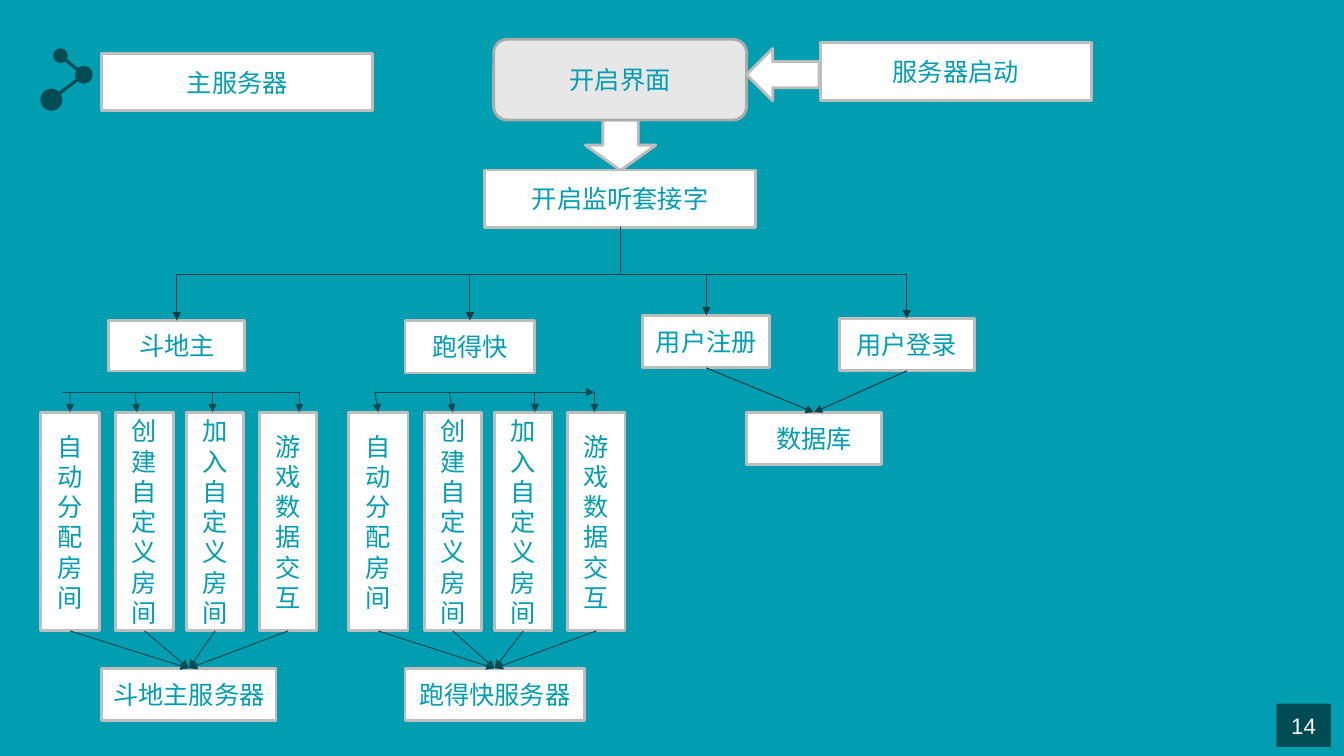
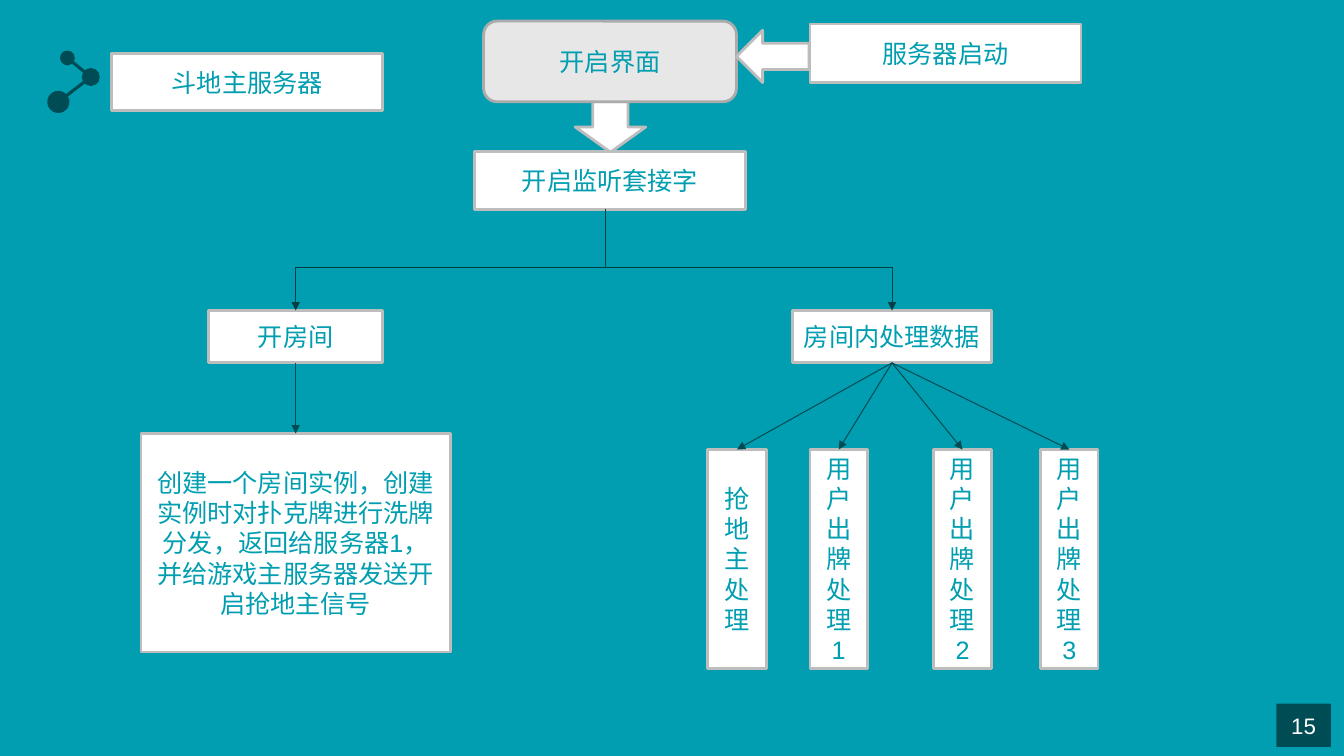
from dataclasses import dataclass
from typing import NamedTuple, Optional

from lxml.etree import SubElement
from pptx import Presentation
from pptx.dml.color import RGBColor
from pptx.enum.shapes import MSO_CONNECTOR, MSO_SHAPE
from pptx.enum.text import MSO_ANCHOR, MSO_AUTO_SIZE, PP_ALIGN
from pptx.oxml.ns import qn
from pptx.shapes.autoshape import Shape
from pptx.shapes.connector import Connector
from pptx.slide import Slide
from pptx.util import Pt


# Theme: colours, type and line sizes
@dataclass(frozen=True)
class Theme:
    teal: str = "009EB0"
    white: str = "FFFFFF"
    grey: str = "E7E7E7"
    edge: str = "BDBDBD"
    rim: str = "ABABAB"
    dark: str = "004C54"
    ink: str = "003F44"
    font: str = "Arial"
    text: float = 18
    page: float = 16
    frame: float = 2
    thin: float = 0.75


THEME = Theme()
TOP, BOTTOM = 0, 2
ROW = 37.4      # height of a one-line box
TALL = 156.2    # height of a column box
WIDE = 193.7    # width of a heading box


class Box(NamedTuple):
    text: str
    x: float
    y: float
    w: float
    h: float = ROW


class Point(NamedTuple):
    x: float
    y: float


class Joint(NamedTuple):
    shape: Shape
    side: int


class Drop(NamedTuple):
    start: float
    end: Optional[float] = None    # None joins the middle of the box top


End = Point | Joint


# Drawing tools
def paint(shape: Shape, fill: str, edge: Optional[str] = None) -> None:
    shape.fill.solid()
    shape.fill.fore_color.rgb = RGBColor.from_string(fill)
    if edge is None:
        shape.line.fill.background()
    else:
        shape.line.color.rgb = RGBColor.from_string(edge)
        shape.line.width = Pt(THEME.frame)


def write(shape: Shape, text: str, size: float = THEME.text,
          tint: str = THEME.teal, wrap: bool = True) -> None:
    frame = shape.text_frame
    frame.word_wrap = wrap
    frame.auto_size = MSO_AUTO_SIZE.NONE
    frame.vertical_anchor = MSO_ANCHOR.MIDDLE
    para = frame.paragraphs[0]
    para.alignment = PP_ALIGN.CENTER
    run = para.add_run()
    run.text = text
    run.font.name = THEME.font
    run.font.size = Pt(size)
    run.font.color.rgb = RGBColor.from_string(tint)


def form(slide: Slide, kind: MSO_SHAPE, x: float, y: float, w: float, h: float,
         fill: str = THEME.white, edge: Optional[str] = THEME.edge) -> Shape:
    shape = slide.shapes.add_shape(kind, Pt(x), Pt(y), Pt(w), Pt(h))
    shape.shadow.inherit = False
    paint(shape, fill, edge)
    return shape


def card(slide: Slide, box: Box) -> Shape:
    shape = form(slide, MSO_SHAPE.RECTANGLE, box.x, box.y, box.w, box.h)
    write(shape, box.text)
    return shape


def link(slide: Slide, start: End, end: End, tip: bool = True,
         tint: str = THEME.dark, width: float = THEME.thin) -> Connector:
    spots = [Pt(v) for p in (start, end)
             for v in (p if isinstance(p, Point) else (0, 0))]
    line = slide.shapes.add_connector(MSO_CONNECTOR.STRAIGHT, *spots)
    if isinstance(start, Joint):
        line.begin_connect(start.shape, start.side)
    if isinstance(end, Joint):
        line.end_connect(end.shape, end.side)
    line.line.color.rgb = RGBColor.from_string(tint)
    line.line.width = Pt(width)
    props = line.element.spPr
    if tip:
        SubElement(props.find(qn("a:ln")), qn("a:tailEnd"), type="triangle")
    SubElement(props, qn("a:effectLst"))
    return line


def mid(shape: Shape) -> float:
    return (shape.left + shape.width / 2) / Pt(1)


# Parts that both slides share
def icon(slide: Slide, x: float, y: float) -> None:
    dots = [(7.9, 36.6, 7.9), (31.1, 18.8, 6.4), (14.4, 5.2, 5.3)]
    spots = [Point(x + cx, y + cy) for cx, cy, _ in dots]
    for start, end in zip(spots, spots[1:]):
        link(slide, start, end, tip=False, width=2.2)
    for spot, (_, _, r) in zip(spots, dots):
        form(slide, MSO_SHAPE.OVAL, spot.x - r, spot.y - r, 2 * r, 2 * r,
             THEME.dark, None)


def base(deck: Presentation, title: str, x: float, mark: Point, page: int) -> Slide:
    slide = deck.slides.add_slide(deck.slide_layouts[5])
    band = form(slide, MSO_SHAPE.RECTANGLE, 912.2, 502.6, 38.9, 31, THEME.dark, None)
    write(band, str(page), THEME.page, THEME.white, wrap=False)
    head = slide.shapes.title
    head.left, head.top, head.width, head.height = Pt(x), Pt(38.2), Pt(WIDE), Pt(41)
    paint(head, THEME.white, THEME.edge)
    write(head, title)
    icon(slide, *mark)
    return slide


def launch(slide: Slide, x: float, y: float) -> Shape:
    """Draw the start-up steps and return the last one."""
    card(slide, Box("服务器启动", x + 233.3, y + 2, WIDE, 41.8))
    form(slide, MSO_SHAPE.DOWN_ARROW, x + 65.5, y + 57.6, 50.4, 36)
    pane = form(slide, MSO_SHAPE.ROUNDED_RECTANGLE, x, y, 180.7, 57.6,
                THEME.grey, THEME.rim)
    write(pane, "开启界面")
    form(slide, MSO_SHAPE.LEFT_ARROW, x + 180.7, y + 6.5, 51.8, 37.4)
    return card(slide, Box("开启监听套接字", x - 6.5, y + 93.4, WIDE, 41))


def branch(slide: Slide, stem: End, x: float, y: float, cards: list[Shape]) -> None:
    """Split one stem into an arrow for each card."""
    link(slide, stem, Point(x, y), tip=False, tint=THEME.ink)
    link(slide, Point(mid(cards[0]), y), Point(mid(cards[-1]), y),
         tip=False, tint=THEME.ink)
    for item in cards:
        link(slide, Point(mid(item), y), Joint(item, TOP), tint=THEME.ink)


def columns(slide: Slide, names: list[str], lefts: list[float], y: float) -> list[Shape]:
    return [card(slide, Box(name, x, y, 41 if i else 42.5, TALL))
            for i, (name, x) in enumerate(zip(names, lefts))]


# First slide: main server
def game(slide: Slide, x: float, goal: Box, bar: tuple[float, float],
         drops: list[Drop], tip: bool) -> None:
    names = ["自动分配房间", "创建自定义房间", "加入自定义房间", "游戏数据交互"]
    top, rail = 294.5, 280.1
    cards = columns(slide, names, [x + gap for gap in (0, 54, 104.4, 156.6)], top)
    server = card(slide, goal)
    link(slide, Point(bar[0], rail), Point(bar[1], rail), tip=tip)
    for item, drop in zip(cards, drops):
        end = Joint(item, TOP) if drop.end is None else Point(drop.end, top)
        link(slide, Point(drop.start, rail), end)
        link(slide, Joint(item, BOTTOM), Joint(server, TOP))


def main_server(deck: Presentation) -> None:
    slide = base(deck, "主服务器", 72.7, Point(28.8, 34.6), 14)
    socket = launch(slide, 352.8, 28.1)
    cards = [card(slide, box) for box in (
        Box("斗地主", 77.8, 229, 97.2, 36),
        Box("跑得快", 289.4, 229, 92.9),
        Box("用户注册", 459.4, 225.4, 90.7),
        Box("用户登录", 599.8, 227.5, 96.5),
    )]
    branch(slide, Joint(socket, BOTTOM), mid(socket), 195.8, cards)
    store = card(slide, Box("数据库", 533.5, 294.5, 96.5))
    for user in cards[2:]:
        link(slide, Joint(user, BOTTOM), Joint(store, TOP), tint=THEME.ink)
    game(slide, 28.8, Box("斗地主服务器", 72.7, 477.4, 124.6), (44.6, 213.8),
         [Drop(50), Drop(96.5, 97.9), Drop(151.9, 151.9), Drop(213.8, 213.8)], False)
    game(slide, 249.1, Box("跑得快服务器", 289.4, 477.4, 128.2), (267.8, 424.8),
         [Drop(267.8), Drop(321.1), Drop(382.3, 382.3), Drop(424.8, 424.8)], True)


# Second slide: game server
def game_server(deck: Presentation) -> None:
    slide = base(deck, "斗地主服务器", 79.9, Point(33.8, 36.2), 15)
    socket = launch(slide, 345.6, 15.1)
    room = card(slide, Box("开房间", 149, 221.8, 124.6))
    data = card(slide, Box("房间内处理数据", 566.6, 221.8, 141.8))
    stem = Point(432.7, (socket.top + socket.height) / Pt(1))
    branch(slide, stem, stem.x, 190.8, [room, data])
    note = card(slide, Box(
        "创建一个房间实例，创建实例时对扑克牌进行洗牌分发，返回给服务器1，"
        "并给游戏主服务器发送开启抢地主信号", 100.8, 309.6, 221, TALL))
    link(slide, Joint(room, BOTTOM), Joint(note, TOP))
    names = ["抢地主处理"] + [f"用户出牌处理{n}" for n in (1, 2, 3)]
    for item in columns(slide, names, [505.4, 578.9, 667.4, 743.8], 321.1):
        link(slide, Joint(data, BOTTOM), Joint(item, TOP))


def main() -> None:
    deck = Presentation()
    deck.slide_width, deck.slide_height = Pt(960.48), Pt(540)
    back = deck.slide_master.background.fill
    back.solid()
    back.fore_color.rgb = RGBColor.from_string(THEME.teal)
    main_server(deck)
    game_server(deck)
    deck.save("out.pptx")


if __name__ == "__main__":
    main()
